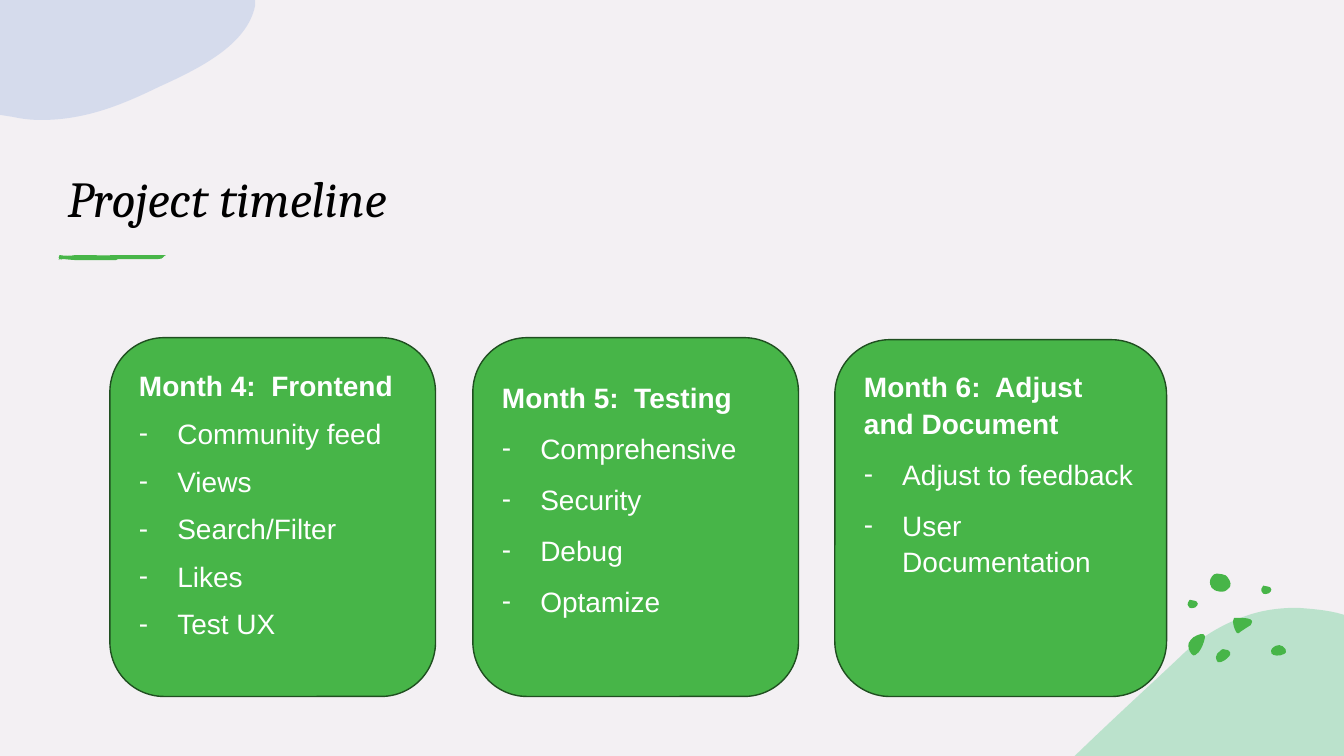
from lxml.etree import SubElement
from pptx import Presentation
from pptx.dml.color import RGBColor
from pptx.enum.shapes import MSO_SHAPE
from pptx.enum.text import MSO_ANCHOR, MSO_AUTO_SIZE, PP_ALIGN
from pptx.oxml.ns import qn
from pptx.util import Inches, Pt

COLORS = {
    "background": "F3F0F3",
    "green": "47B548",
    "outline": "1F4F20",
    "mint": "84D6A7",
    "lavender": "B8C7E7",
    "title": "000000",
    "card_text": "FFFFFF",
}

GREEN_HILL = [
    (2.21, 0), (2.34, 0.01, 2.47, 0.02, 2.6, 0.05), (2.67, 0.07), (2.67, 1.47),
    (0, 1.47), (0.01, 1.46), (0.35, 1.13, 0.7, 0.81, 1.02, 0.51),
    (1.24, 0.29, 1.47, 0.16, 1.7, 0.08), (1.87, 0.02, 2.04, 0, 2.21, 0),
]
BLUE_CLOUD = [
    (0, 0), (2.53, 0), (2.53, 0.06), (2.45, 0.44, 2, 0.67, 1.58, 0.86),
    (1.23, 1.03, 0.86, 1.19, 0.41, 1.19), (0.31, 1.19, 0.22, 1.18, 0.13, 1.16),
    (0, 1.14),
]
BRUSH_STROKE = [
    (0.01, 0), (0.06, 0.01, 0.12, 0.01, 0.17, 0), (0.3, 0), (0.36, 0, 0.48, 0.01, 0.53, 0),
    (0.75, 0), (1.06, 0), (1.03, 0.01, 1.05, 0.04, 0.99, 0.04), (0.75, 0.04), (0.59, 0.04),
    (0.57, 0.05), (0.28, 0.05), (0.17, 0.05), (0.13, 0.05, 0.07, 0.04, 0.03, 0.04),
    (-0.01, 0.05, 0, 0.01, 0.01, 0),
]
BRISTLE = [(0, 0), (0.01, 0), (0.01, 0.01)]
STROKE_PARTS = [
    (0, 0.04, BRISTLE), (0.02, 0.04, BRISTLE), (1.05, 0, BRISTLE), (0, 0, BRUSH_STROKE),
]
SPECK = [
    (0, 0.05), (0, 0.05, 0, 0.01, 0.02, 0), (0.04, 0, 0.05, 0, 0.07, 0.01),
    (0.08, 0.01, 0.1, 0.02, 0.1, 0.04), (0.1, 0.05, 0.09, 0.07, 0.08, 0.07),
    (0.08, 0.07, 0.08, 0.08, 0.06, 0.08), (0.05, 0.08, 0.03, 0.09, 0.02, 0.08),
    (0.01, 0.06, 0, 0.06, 0, 0.05),
]
PEBBLES = [
    (0.28, 0.75, [
        (0.07, 0), (0.09, 0, 0.1, 0, 0.12, 0.01), (0.14, 0.02, 0.15, 0.04, 0.14, 0.06),
        (0.12, 0.09, 0.06, 0.14, 0.02, 0.13), (0.01, 0.12, 0, 0.1, 0, 0.08),
        (0, 0.06, 0.02, 0.03, 0.04, 0.02), (0.05, 0.01, 0.06, 0, 0.07, 0)]),
    (0.01, 0.6, [
        (0.12, 0), (0.14, 0, 0.16, 0, 0.16, 0.02), (0.16, 0.03, 0.16, 0.03, 0.16, 0.04),
        (0.15, 0.09, 0.13, 0.14, 0.1, 0.18), (0.08, 0.2, 0.05, 0.23, 0.03, 0.2),
        (0, 0.17, -0.01, 0.12, 0, 0.09), (0.01, 0.06, 0.03, 0.05, 0.05, 0.03),
        (0.06, 0.03, 0.09, 0, 0.12, 0)]),
    (0.83, 0.71, [
        (0.08, 0), (0.1, 0, 0.13, 0.02, 0.14, 0.04), (0.15, 0.06, 0.15, 0.08, 0.12, 0.09),
        (0.09, 0.11, 0.01, 0.11, 0, 0.08), (-0.01, 0.06, 0, 0.04, 0.01, 0.03),
        (0.03, 0.01, 0.05, 0, 0.08, 0)]),
    (0.22, 0, [
        (0.01, 0.12), (0, 0.12, -0.01, 0.06, 0.02, 0.03), (0.04, 0.01, 0.04, 0, 0.07, 0),
        (0.1, 0, 0.14, 0.01, 0.16, 0.02), (0.18, 0.04, 0.22, 0.09, 0.2, 0.13),
        (0.17, 0.16, 0.16, 0.18, 0.12, 0.18), (0.09, 0.18, 0.04, 0.17, 0.03, 0.15),
        (0.01, 0.14, 0.01, 0.13, 0.01, 0.12)]),
    (0.73, 0.12, SPECK),
    (0, 0.26, SPECK),
    (0.45, 0.44, [
        (0.05, 0), (0.11, 0, 0.22, 0, 0.18, 0.06), (0.18, 0.07, 0.17, 0.08, 0.16, 0.08),
        (0.13, 0.1, 0.1, 0.12, 0.07, 0.14), (0.06, 0.15, 0.05, 0.16, 0.04, 0.15),
        (0.04, 0.15, 0.03, 0.14, 0.03, 0.14), (0.01, 0.1, 0, 0.07, 0, 0.03),
        (0, 0.02, 0, 0.01, 0.01, 0), (0.05, 0)]),
]
CARDS = [
    ((1.09, 3.35, 3.23, 3.56), (0.26, 2.87), 1.0, "Month 4:  Frontend",
     ["Community feed", "Views", "Search/Filter", "Likes", "Test UX"]),
    ((4.69, 3.35, 3.23, 3.56), (0.34, 2.87), 1.1, "Month 5:  Testing",
     ["Comprehensive", "Security", "Debug", "Optamize"]),
    ((8.28, 3.37, 3.29, 3.54), (0.21, 3.35), 1.1, "Month 6:  Adjust and Document",
     ["Adjust to feedback", "User Documentation"]),
]


def rgb(name):
    """Return the named palette colour."""
    return RGBColor.from_string(COLORS[name])


def bend_segments(shape, segments, origin):
    """Replace the straight segments that have control points with cubic curves."""
    lines = list(shape.element.iter(qn("a:lnTo")))
    for line, segment in zip(lines, segments):
        if len(segment) == 6:
            curve = line.makeelement(qn("a:cubicBezTo"))
            for x, y in zip(segment[::2], segment[1::2]):
                SubElement(curve, qn("a:pt"), x=str(Inches(x - origin[0])),
                           y=str(Inches(y - origin[1])))
            line.getparent().replace(line, curve)


def add_outline(slide, left, top, outline, color, opacity=None):
    """Draw a filled outline whose coordinates start at left and top."""
    ends = [segment[-2:] for segment in outline]
    origin = [min(end[axis] for end in ends) for axis in (0, 1)]
    points = [(Inches(left + x), Inches(top + y)) for x, y in ends]
    builder = slide.shapes.build_freeform(*points[0], scale=1.0)
    builder.add_line_segments(points[1:], close=True)
    shape = builder.convert_to_shape()
    bend_segments(shape, outline[1:], origin)
    shape.shadow.inherit = False
    shape.fill.solid()
    shape.fill.fore_color.rgb = rgb(color)
    shape.line.fill.background()
    if opacity is not None:
        fill_color = shape.element.spPr.find(qn("a:solidFill"))[0]
        SubElement(fill_color, qn("a:alpha"), val=str(opacity * 1000))
    return shape


def add_outline_group(slide, left, top, parts):
    """Draw several green outlines and group them."""
    slide.shapes.add_group_shape([
        add_outline(slide, left + x, top + y, outline, "green") for x, y, outline in parts])


def write_text(paragraph, text, *, size, color, font="Arial", bold=False, italic=False,
               line_spacing=None, space_before=0, bullet=None):
    """Write one formatted run, with an optional hanging bullet."""
    properties = paragraph._p.get_or_add_pPr()
    if bullet:
        indent = Inches(0.38)
        properties.set("marL", str(indent))
        properties.set("indent", str(-indent))
        SubElement(properties, qn("a:buFont"), typeface=font)
        SubElement(properties, qn("a:buChar"), char=bullet)
    paragraph.alignment = PP_ALIGN.LEFT
    paragraph.space_before = Pt(space_before)
    if line_spacing:
        paragraph.line_spacing = line_spacing
    run = paragraph.add_run()
    run.text = text
    run.font.name = font
    run.font.size = Pt(size)
    run.font.bold = bold
    run.font.italic = italic
    run.font.color.rgb = rgb(color)


def add_decoration(slide, width, height):
    """Place the corner shapes and pebbles against the slide edges."""
    add_outline(slide, width - 2.67, height - 1.47, GREEN_HILL, "mint", opacity=50)
    add_outline_group(slide, width - 1.55, height - 1.81, PEBBLES)
    add_outline(slide, 0, 0, BLUE_CLOUD, "lavender", opacity=50)


def add_title(slide, left, top, width, height):
    """Fill the title placeholder and underline it with a brush stroke."""
    title = slide.shapes.title
    title.left, title.top = Inches(left), Inches(top)
    title.width, title.height = Inches(width), Inches(height)
    frame = title.text_frame
    frame.vertical_anchor = MSO_ANCHOR.BOTTOM
    frame.auto_size = MSO_AUTO_SIZE.NONE
    write_text(frame.paragraphs[0], "Project timeline", size=36, color="title",
               font="Cambria", italic=True)
    add_outline_group(slide, left + 0.01, top + height + 0.22, STROKE_PARTS)


def add_card(slide, box, text_place, line_spacing, heading, tasks):
    """Draw one month card with its heading and task list."""
    left, top, width, height = box
    card = slide.shapes.add_shape(MSO_SHAPE.FLOWCHART_ALTERNATE_PROCESS, Inches(left),
                                  Inches(top), Inches(width), Inches(height))
    card.shadow.inherit = False
    card.fill.solid()
    card.fill.fore_color.rgb = rgb("green")
    card.line.color.rgb = rgb("outline")
    card.line.width = Pt(1)
    text_top, text_height = text_place
    text_box = slide.shapes.add_textbox(Inches(left + 0.19), Inches(top + text_top),
                                        Inches(2.89), Inches(text_height))
    frame = text_box.text_frame
    frame.word_wrap = True
    write_text(frame.paragraphs[0], heading, size=20, color="card_text", bold=True,
               line_spacing=line_spacing)
    for task in tasks:
        write_text(frame.add_paragraph(), task, size=20, color="card_text",
                   line_spacing=line_spacing, space_before=10, bullet="-")


def main():
    """Build and save the project timeline slide."""
    presentation = Presentation()
    width, height = 13.33, 7.5
    presentation.slide_width, presentation.slide_height = Inches(width), Inches(height)
    slide = presentation.slides.add_slide(presentation.slide_layouts[5])
    slide.background.fill.solid()
    slide.background.fill.fore_color.rgb = rgb("background")
    add_decoration(slide, width, height)
    add_title(slide, 0.57, 0.86, 11.02, 1.45)
    for card in CARDS:
        add_card(slide, *card)
    presentation.save("out.pptx")


if __name__ == "__main__":
    main()
